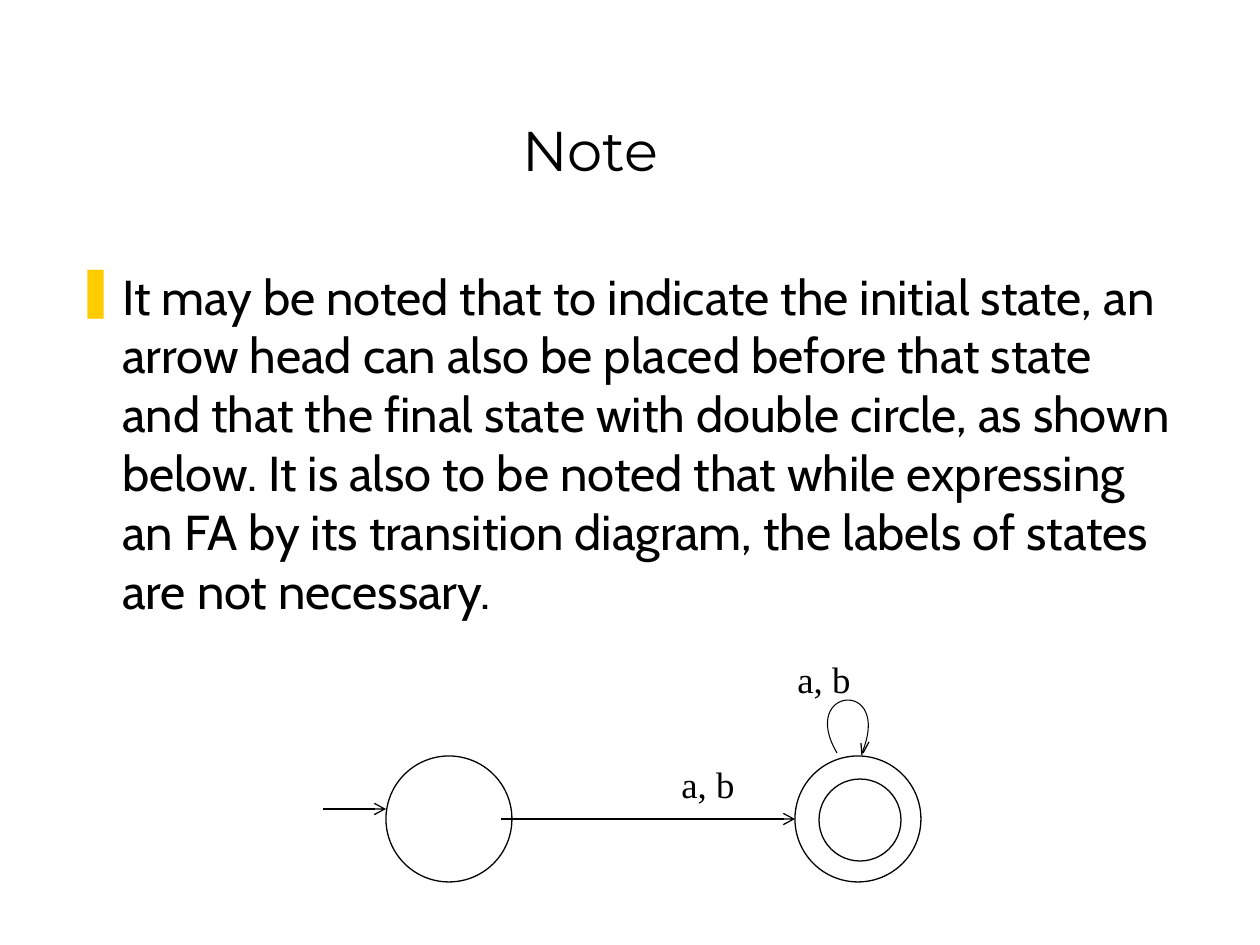
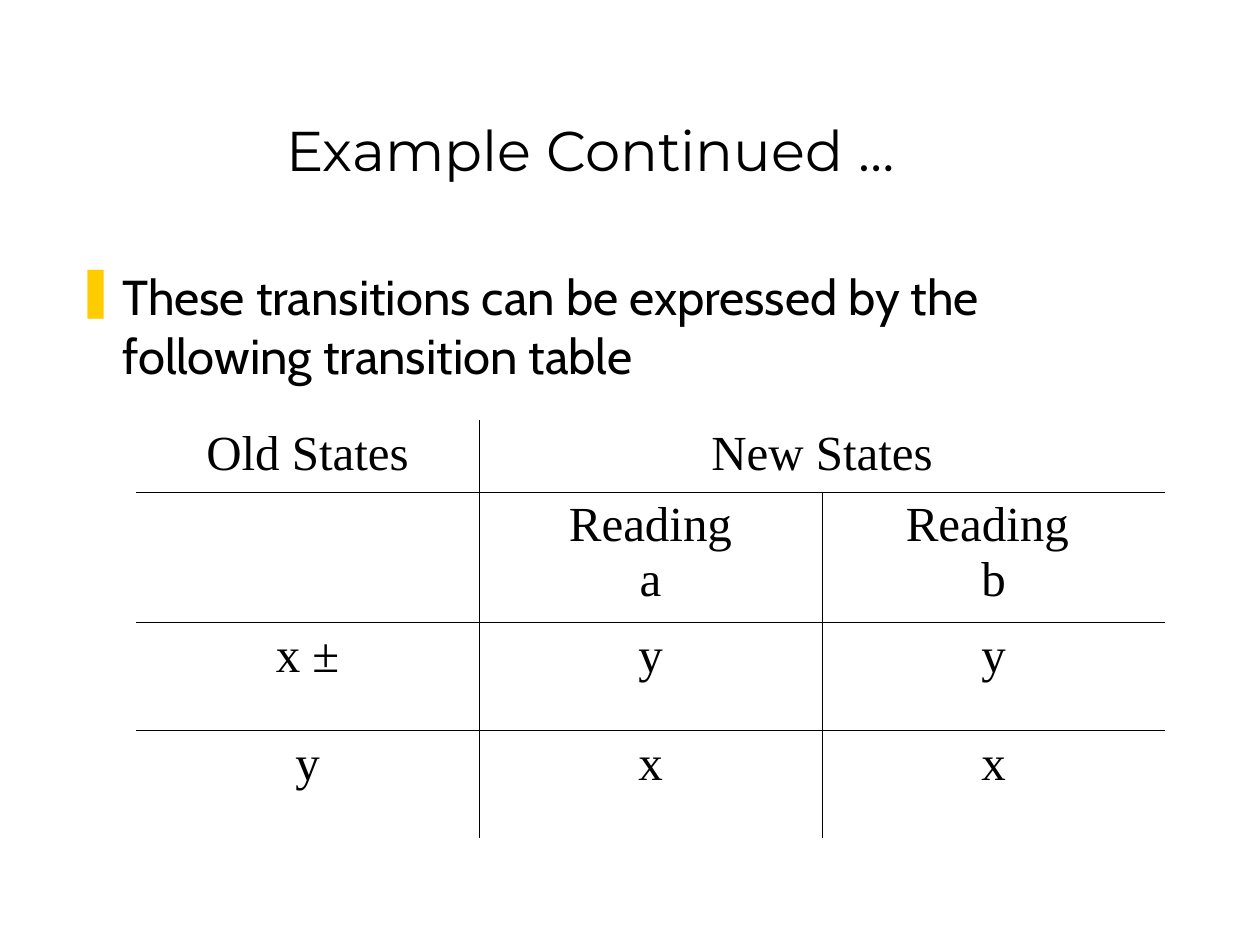
import lxml.etree
import pptx
import pptx.dml.color
import pptx.enum.shapes
import pptx.enum.text
import pptx.oxml.ns
import pptx.util

SCALE = 914400 / 126
BLACK, WHITE, YELLOW = "000000", "FFFFFF", "FFCC00"
TITLE_FONT, BODY_FONT, SERIF = "Montserrat", "Cabin", "Times New Roman"
CENTER = pptx.enum.text.PP_ALIGN.CENTER
TITLE_BOX = (55, 32, 1071, 157)
NOTE = (
    "It may be noted that to indicate the initial state, an arrow head can also be "
    "placed before that state and that the final state with double circle, as shown "
    "below. It is also to be noted that while expressing an FA by its transition "
    "diagram, the labels of states are not necessary."
)
TRANSITIONS = [
    ["Old States", "New States", ""],
    ["", "Reading\na", "Reading \nb"],
    ["x ±", "y", "y"],
    ["y", "x", "x"],
]


def px(*lengths):
    """Turn pixel lengths into a list of EMU."""
    return [pptx.util.Emu(round(length * SCALE)) for length in lengths]


def color(value):
    """Turn a hex string into a colour."""
    return pptx.dml.color.RGBColor.from_string(value)


def add_node(parent, name, **attributes):
    """Append a DrawingML element and return it."""
    return lxml.etree.SubElement(parent, pptx.oxml.ns.qn(name), attributes)


def write(para, text, font, size):
    """Add one black run to a paragraph."""
    span = para.add_run()
    span.text = text
    span.font.name = font
    span.font.size = pptx.util.Pt(size)
    span.font.color.rgb = color(BLACK)


def add_text(shapes, box, text, font, size):
    """Add a wrapping text box and return its frame."""
    frame = shapes.add_textbox(*px(*box)).text_frame
    frame.word_wrap = True
    write(frame.paragraphs[0], text, font, size)
    return frame


def add_title(page, box, text):
    """Place the centred slide title at the bottom of its box."""
    frame = add_text(page.shapes, box, text, TITLE_FONT, 32)
    frame.vertical_anchor = pptx.enum.text.MSO_ANCHOR.BOTTOM
    frame.paragraphs[0].alignment = CENTER


def add_body(page, box, text):
    """Place the paragraph with its yellow bar bullet."""
    frame = add_text(page.shapes, box, text, BODY_FONT, 28)
    props = frame.paragraphs[0]._p.get_or_add_pPr()
    indent = px(47)[0]
    props.set("marL", str(indent))
    props.set("indent", str(-indent))
    add_node(add_node(props, "a:buClr"), "a:srgbClr", val=YELLOW)
    add_node(props, "a:buChar", char="❚")


def outline(shape, width=0.75):
    """Give a shape or connector a thin black line."""
    shape.line.color.rgb = color(BLACK)
    shape.line.width = pptx.util.Pt(width)


def add_circle(shapes, left, top, size, fill=None):
    """Add an outlined circle."""
    circle = shapes.add_shape(
        pptx.enum.shapes.MSO_SHAPE.OVAL, *px(left, top, size, size))
    circle.shadow.inherit = False
    if fill:
        circle.fill.solid()
        circle.fill.fore_color.rgb = color(fill)
    else:
        circle.fill.background()
    outline(circle)


def add_arrow(shapes, start, end):
    """Add a straight line with an open arrowhead at its end."""
    arrow = shapes.add_connector(
        pptx.enum.shapes.MSO_CONNECTOR.STRAIGHT, *px(*start, *end))
    outline(arrow)
    add_node(arrow.line._get_or_add_ln(), "a:tailEnd", type="arrow")
    add_node(arrow._element.spPr, "a:effectLst")


def add_stroke(shapes, points, width=0.75):
    """Add an open outline through the points."""
    first, *rest = [px(*point) for point in points]
    builder = shapes.build_freeform(*first)
    builder.add_line_segments(rest, close=False)
    stroke = builder.convert_to_shape()
    stroke.shadow.inherit = False
    stroke.fill.background()
    outline(stroke, width)


def curve(start, pull, push, end, steps=32):
    """Return points along a cubic curve."""
    points = []
    for step in range(steps + 1):
        t = step / steps
        weights = ((1 - t) ** 3, 3 * t * (1 - t) ** 2, 3 * t * t * (1 - t), t ** 3)
        points.append([sum(w * value for w, value in zip(weights, axis))
                       for axis in zip(start, pull, push, end)])
    return points


def add_diagram(page, left, top):
    """Draw the two-state transition diagram."""
    shapes = page.shapes.add_group_shape().shapes

    def at(x, y):
        """Shift a point into the diagram."""
        return left + x, top + y

    add_circle(shapes, *at(496, 128), 82, WHITE)
    add_arrow(shapes, at(178, 168), at(472, 168))
    add_arrow(shapes, at(0, 158), at(63, 158))
    for state_left in (472, 63):
        add_circle(shapes, *at(state_left, 105), 126)
    loop = curve(at(514, 102), at(475, 36), at(570, 27), at(539, 102))
    add_stroke(shapes, loop, 0.6)
    add_stroke(shapes, [at(540, 102), at(546, 91)])
    add_stroke(shapes, [at(538, 92), at(539, 104)])
    for corner in ((346, 105), (462, 0)):
        add_text(shapes, (*at(*corner), 123, 86), "a, b", SERIF, 21)


def set_borders(cell, **edges):
    """Draw the named edges of a cell and clear the others."""
    props = cell._tc.get_or_add_tcPr()
    for edge in "LRTB":
        line = add_node(props, f"a:ln{edge}", w=str(pptx.util.Pt(0.45)))
        if edges[edge]:
            add_node(add_node(line, "a:solidFill"), "a:srgbClr", val=BLACK)
        else:
            add_node(line, "a:noFill")


def add_transition_table(page, left, top, width, heights):
    """Draw the transition table with inner rules only."""
    columns = len(TRANSITIONS[0])
    table = page.shapes.add_table(
        len(heights), columns, *px(left, top, width, sum(heights))).table
    table.first_row = table.horz_banding = False
    for column in table.columns:
        column.width = px(width / columns)[0]
    table.cell(0, 1).merge(table.cell(0, 2))
    for i, (height, texts) in enumerate(zip(heights, TRANSITIONS)):
        table.rows[i].height = px(height)[0]
        for j, text in enumerate(texts):
            cell = table.cell(i, j)
            set_borders(cell, L=j == 1 or (j == 2 and i > 0),
                        R=j == 0 or (j == 1 and i > 0),
                        T=i > 0, B=i < len(heights) - 1)
            cell.fill.background()
            for k, part in enumerate(text.split("\n") if text else []):
                frame = cell.text_frame
                para = frame.add_paragraph() if k else frame.paragraphs[0]
                para.alignment = CENTER
                write(para, part, SERIF, 28)


def add_page(deck, title, body, body_height):
    """Add a slide with its title and bulleted paragraph."""
    page = deck.slides.add_slide(deck.slide_layouts[6])
    add_title(page, TITLE_BOX, title)
    add_body(page, (63, 260, 1126, body_height), body)
    return page


def main():
    """Build and save the deck."""
    deck = pptx.Presentation()
    deck.slide_width, deck.slide_height = px(1260, 945)
    note = add_page(deck, "Note", NOTE, 654)
    add_diagram(note, 323, 651)
    example = add_page(
        deck, "Example Continued …",
        "These transitions can be expressed by the following transition table", 575)
    add_transition_table(example, 136, 420, 1029, (72, 130, 108, 108))
    deck.save("out.pptx")


if __name__ == "__main__":
    main()
